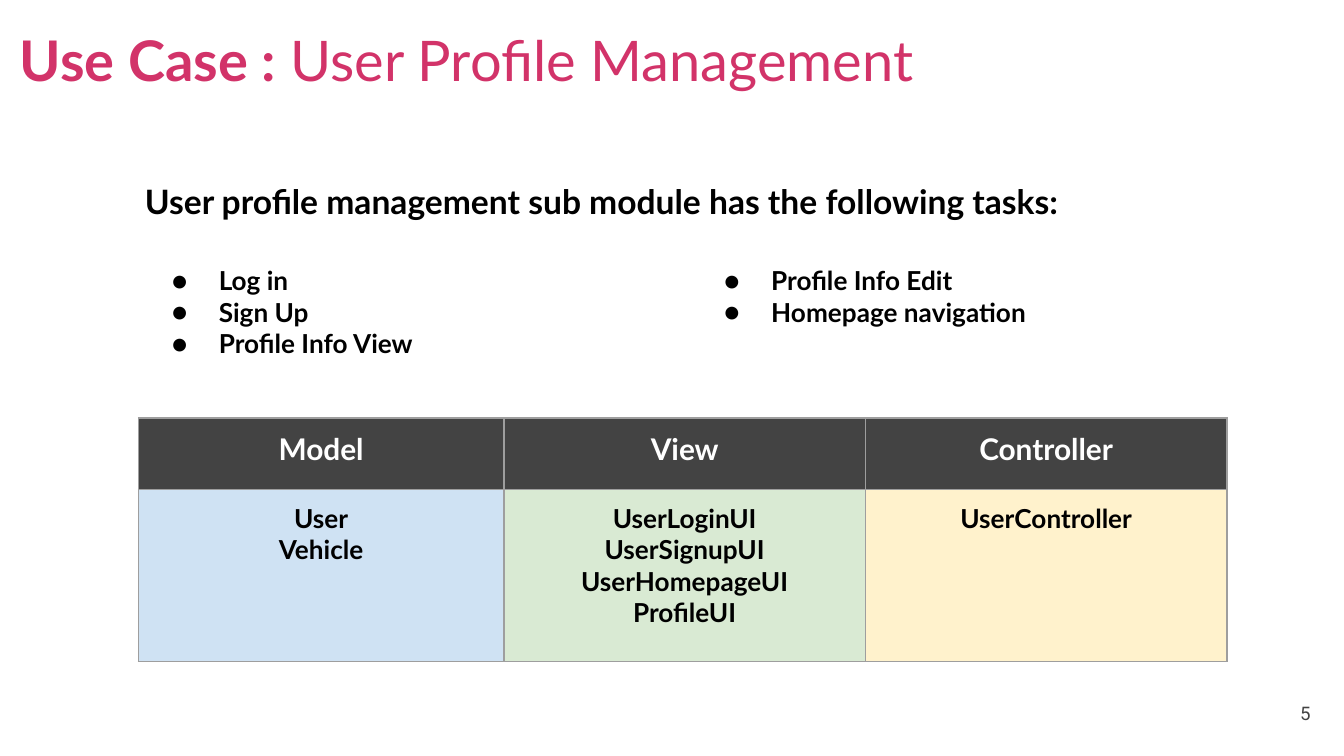
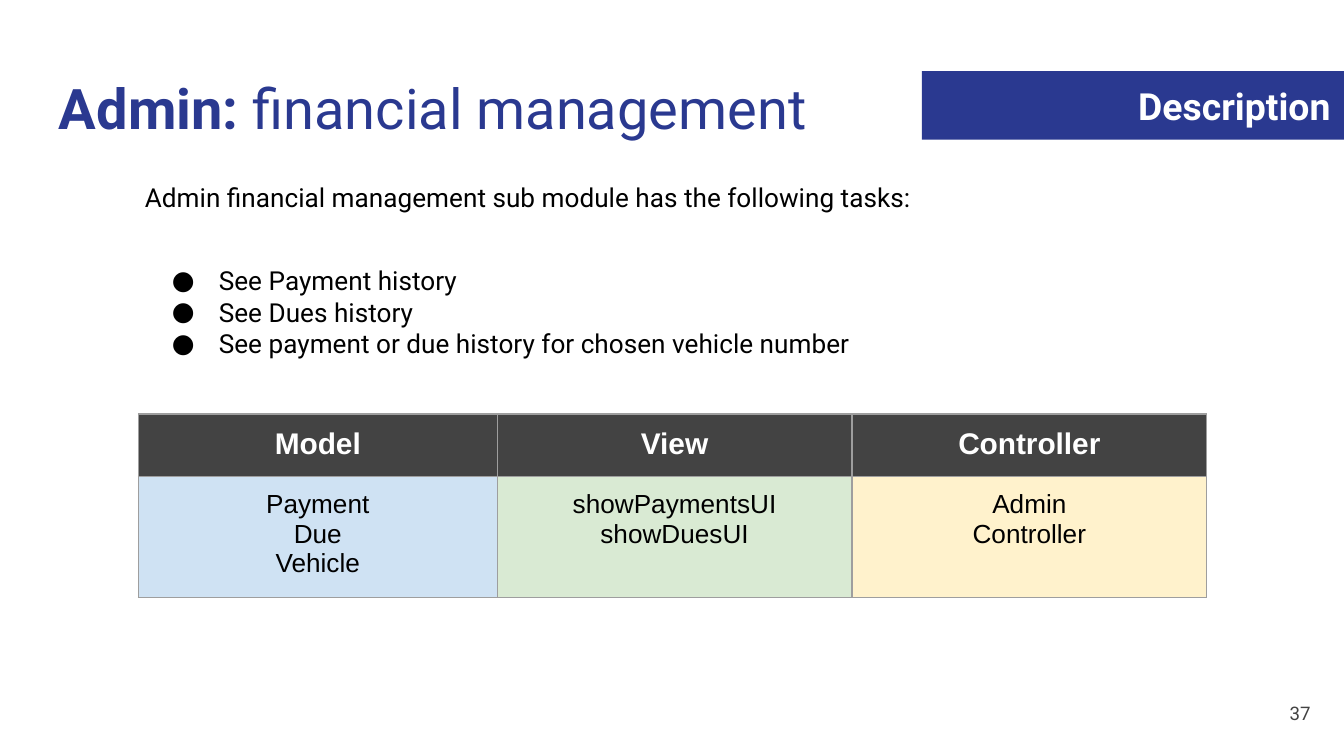
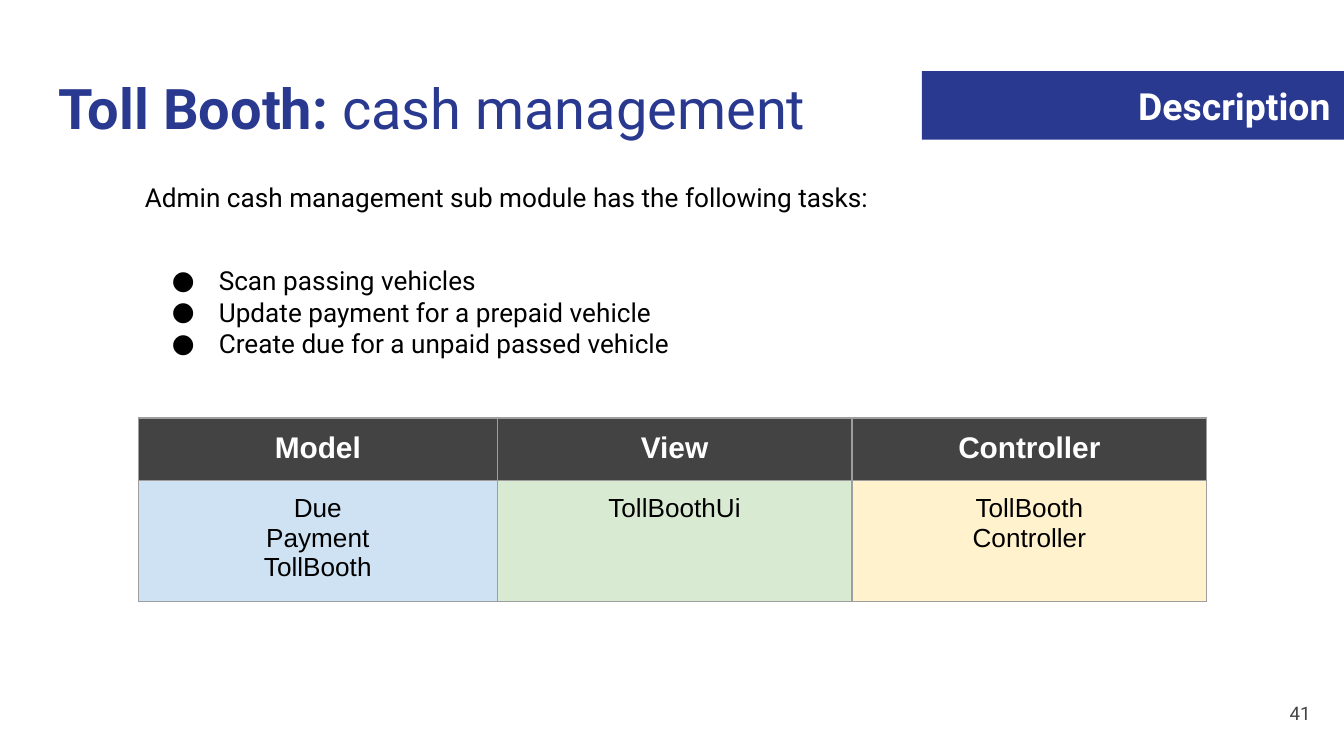
from dataclasses import dataclass

from lxml.etree import SubElement
from pptx import Presentation
from pptx.dml.color import RGBColor
from pptx.enum.shapes import MSO_SHAPE
from pptx.enum.text import MSO_ANCHOR, MSO_AUTO_SIZE, PP_ALIGN
from pptx.oxml.ns import qn
from pptx.util import Inches, Pt


@dataclass(frozen=True)
class Theme:
    pink: str = "D23369"
    navy: str = "2A3990"
    black: str = "000000"
    white: str = "FFFFFF"
    charcoal: str = "434343"
    border: str = "9E9E9E"
    columns: tuple = ("CFE2F3", "D9EAD3", "FFF2CC")
    title_size: int = 30
    badge_size: int = 20
    lead_size: int = 18
    header_size: int = 16
    body_size: int = 14
    number_size: int = 10
    border_width: float = 0.75
    inset: float = 0.1


@dataclass(frozen=True)
class Look:
    """What differs between the use case and the description slides."""
    font: str
    table_font: str
    title_color: str
    title_box: tuple
    intro_size: int
    intro_height: float
    bold_body: bool
    column_widths: tuple
    row_heights: tuple
    badge: str = ""


THEME = Theme()
USE_CASE = Look("Lato", "Lato", THEME.pink, (0.05, 0.09, 9.32, 0.66),
                THEME.lead_size, 0.5, True, (2.72, 2.69, 2.69), (0.53, 1.28))
DESCRIPTION = Look("Roboto", "Arial", THEME.navy, (0.34, 0.45, 9.32, 0.66),
                   THEME.body_size, 0.44, False, (2.67, 2.64, 2.64), (0.44, 0.86),
                   badge="Description")

BADGE_BOX = (6.86, 0.53, 3.14, 0.51)
NUMBER_BOX = (9.25, 5.09, 0.6, 0.43)
NUMBER_FONT = "Roboto"
HEADERS = ("Model", "View", "Controller")


def color(value):
    return RGBColor.from_string(value)


def inches(box):
    return [Inches(length) for length in box]


def add_run(paragraph, text, font, size, ink, bold=False):
    """Add styled text, with a line break at each newline."""
    for index, line in enumerate(text.split("\n")):
        if index:
            paragraph.add_line_break()
        run = paragraph.add_run()
        run.text = line
        run.font.name = font
        run.font.size = Pt(size)
        run.font.bold = bold
        run.font.color.rgb = color(ink)


def paragraphs(frame, texts):
    """Yield one paragraph of the frame for each text."""
    for index, text in enumerate(texts):
        yield (frame.add_paragraph() if index else frame.paragraphs[0]), text


def set_frame(frame, anchor=MSO_ANCHOR.TOP):
    frame.word_wrap = True
    frame.vertical_anchor = anchor
    frame.margin_left = frame.margin_right = Inches(THEME.inset)
    frame.margin_top = frame.margin_bottom = Inches(THEME.inset)
    return frame


def add_text_frame(slide, box, anchor=MSO_ANCHOR.TOP, grow=False):
    frame = set_frame(slide.shapes.add_textbox(*inches(box)).text_frame, anchor)
    if grow:
        frame.auto_size = MSO_AUTO_SIZE.SHAPE_TO_FIT_TEXT
    return frame


def set_bullet(paragraph, font):
    properties = paragraph._p.get_or_add_pPr()
    properties.set("marL", str(Inches(0.5)))
    properties.set("indent", str(Inches(-0.35)))
    ink = SubElement(properties, qn("a:buClr"))
    SubElement(ink, qn("a:srgbClr"), val=THEME.black)
    SubElement(properties, qn("a:buFont"), typeface=font)
    SubElement(properties, qn("a:buChar"), char="●")


def set_borders(cell):
    properties = cell._tc.get_or_add_tcPr()
    for side in ("lnL", "lnR", "lnT", "lnB"):
        line = SubElement(properties, qn(f"a:{side}"), w=str(Pt(THEME.border_width)))
        fill = SubElement(line, qn("a:solidFill"))
        SubElement(fill, qn("a:srgbClr"), val=THEME.border)


def add_title(slide, box, look, lead, rest):
    paragraph = add_text_frame(slide, box).paragraphs[0]
    for text, bold in ((lead, True), (rest, False)):
        add_run(paragraph, text, look.font, THEME.title_size, look.title_color, bold)


def add_badge(slide, box, look):
    badge = slide.shapes.add_shape(MSO_SHAPE.RECTANGLE, *inches(box))
    badge.shadow.inherit = False
    badge.fill.solid()
    badge.fill.fore_color.rgb = color(look.title_color)
    badge.line.fill.background()
    paragraph = set_frame(badge.text_frame, MSO_ANCHOR.MIDDLE).paragraphs[0]
    paragraph.alignment = PP_ALIGN.RIGHT
    add_run(paragraph, look.badge, look.font, THEME.badge_size, THEME.white, True)


def add_intro(slide, box, look, text):
    paragraph = add_text_frame(slide, box, grow=True).paragraphs[0]
    add_run(paragraph, text, look.font, look.intro_size, THEME.black, look.bold_body)


def add_tasks(slide, box, look, tasks):
    frame = add_text_frame(slide, box, grow=True)
    for paragraph, task in paragraphs(frame, tasks):
        set_bullet(paragraph, look.font)
        add_run(paragraph, task, look.font, THEME.body_size, THEME.black, look.bold_body)


def fill_cell(cell, texts, fill, font, size, ink, bold):
    cell.margin_left = cell.margin_right = Inches(THEME.inset)
    cell.margin_top = cell.margin_bottom = Inches(THEME.inset)
    set_borders(cell)
    cell.fill.solid()
    cell.fill.fore_color.rgb = color(fill)
    for paragraph, text in paragraphs(cell.text_frame, texts):
        paragraph.alignment = PP_ALIGN.CENTER
        add_run(paragraph, text, font, size, ink, bold)


def add_mvc_table(slide, left, top, look, classes):
    box = (left, top, sum(look.column_widths), sum(look.row_heights))
    table = slide.shapes.add_table(2, len(HEADERS), *inches(box)).table
    table.horz_banding = False
    for row, height in zip(table.rows, look.row_heights):
        row.height = Inches(height)
    for index, width in enumerate(look.column_widths):
        table.columns[index].width = Inches(width)
        fill_cell(table.cell(0, index), [HEADERS[index]], THEME.charcoal,
                  look.table_font, THEME.header_size, THEME.white, True)
        fill_cell(table.cell(1, index), classes[index], THEME.columns[index],
                  look.table_font, THEME.body_size, THEME.black, look.bold_body)


def add_number(slide, box, number):
    paragraph = add_text_frame(slide, box, MSO_ANCHOR.MIDDLE).paragraphs[0]
    paragraph.alignment = PP_ALIGN.RIGHT
    add_run(paragraph, str(number), NUMBER_FONT, THEME.number_size, THEME.charcoal)


def add_module_slide(deck, look, title, intro, task_lists, table_top, classes, number):
    slide = deck.slides.add_slide(deck.slide_layouts[6])
    add_title(slide, look.title_box, look, *title)
    add_mvc_table(slide, 1.03, table_top, look, classes)
    if look.badge:
        add_badge(slide, BADGE_BOX, look)
    add_intro(slide, (0.98, 1.25, 8.03, look.intro_height), look, intro)
    for left, width, tasks in task_lists:
        height = 0.2 + 0.237 * len(tasks)
        add_tasks(slide, (left, 1.87, width, round(height, 2)), look, tasks)
    add_number(slide, NUMBER_BOX, number)


def main():
    deck = Presentation()
    deck.slide_width, deck.slide_height = Inches(10), Inches(5.625)

    # User profile
    add_module_slide(
        deck, USE_CASE, ("Use Case :", " User Profile Management"),
        "User profile management sub module has the following tasks:",
        [(1.03, 3.97, ["Log in", "Sign Up", "Profile Info View"]),
         (5.14, 3.97, ["Profile Info Edit", "Homepage navigation"])],
        3.11,
        [["User", "Vehicle"],
         ["UserLoginUI", "UserSignupUI", "UserHomepageUI", "ProfileUI"],
         ["UserController"]],
        5)

    # Admin finances
    add_module_slide(
        deck, DESCRIPTION, ("Admin:", " financial management"),
        "Admin financial management sub module has the following tasks:",
        [(1.03, 7.78, ["See Payment history", "See Dues history",
                       "See payment or due history for chosen vehicle number"])],
        3.08,
        [["Payment", "Due", "Vehicle"],
         ["showPaymentsUI", "showDuesUI"],
         ["Admin\nController"]],
        37)

    # Toll booth cash
    add_module_slide(
        deck, DESCRIPTION, ("Toll Booth:", " cash management"),
        "Admin cash management sub module has the following tasks:",
        [(1.03, 5.77, ["Scan passing vehicles", "Update payment for a prepaid vehicle",
                       "Create due for a unpaid passed vehicle"])],
        3.11,
        [["Due\nPayment\nTollBooth"], ["TollBoothUi"], ["TollBooth\nController"]],
        41)

    deck.save("out.pptx")


if __name__ == "__main__":
    main()
